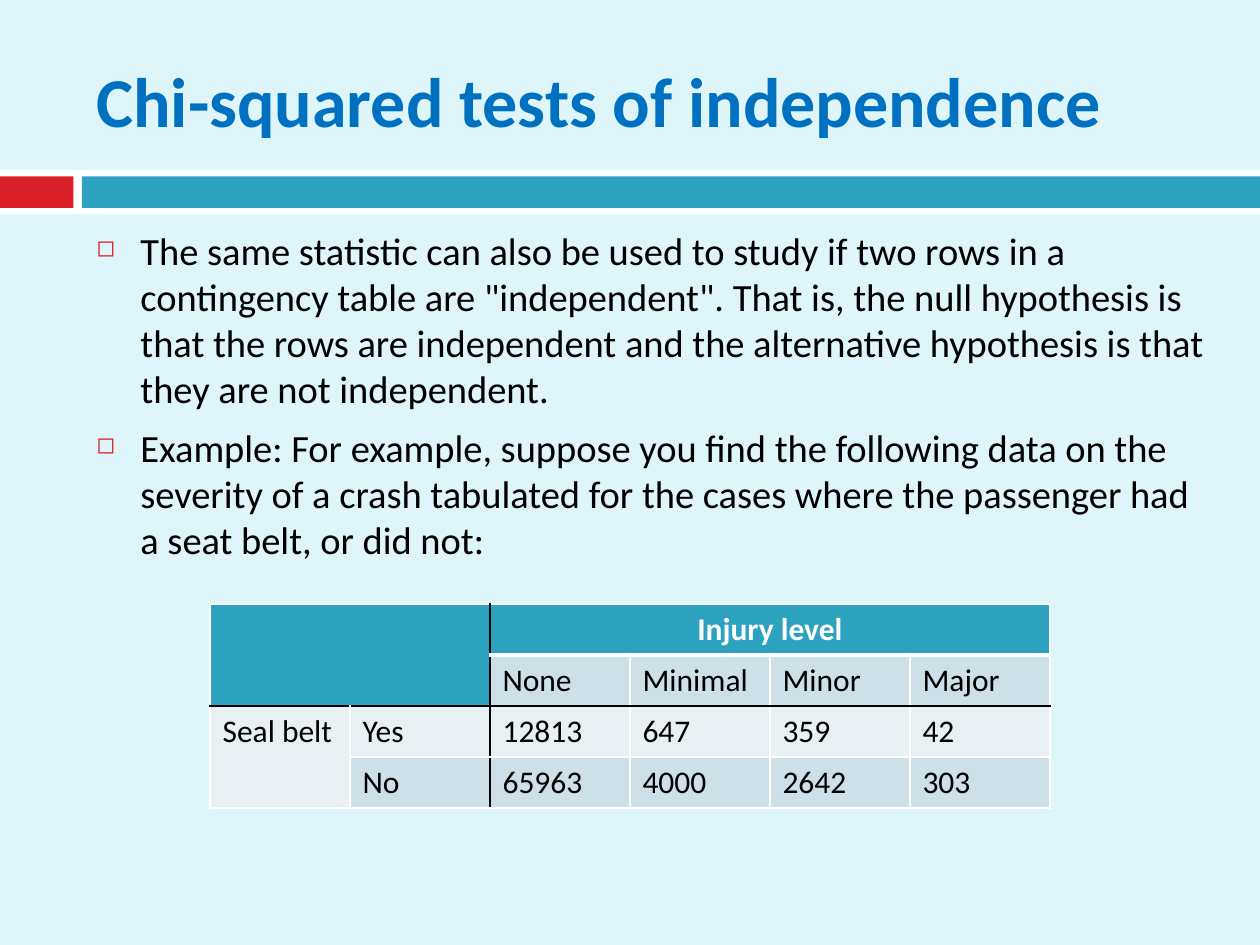
from dataclasses import dataclass

import lxml.etree
import pptx
import pptx.dml.color
import pptx.enum.shapes
import pptx.enum.text
import pptx.oxml.ns
import pptx.slide
import pptx.table
import pptx.text.text
import pptx.util


@dataclass(frozen=True)
class Theme:
    font: str = "Calibri"
    background: str = "DEF5FA"
    white: str = "FFFFFF"
    black: str = "000000"
    red: str = "DA1F28"
    teal: str = "2DA2BF"
    title: str = "0070C0"
    dark_band: str = "CDE0E8"
    light_band: str = "E8F0F4"
    title_size: float = 40
    body_size: float = 22
    table_size: float = 18
    thin: float = 1
    thick: float = 3


@dataclass(frozen=True)
class Box:
    left: float
    top: float
    width: float
    height: float

    def emu(self) -> list[int]:
        return [pptx.util.Pt(v) for v in (self.left, self.top, self.width, self.height)]


@dataclass(frozen=True)
class Bar:
    box: Box
    color: str


@dataclass(frozen=True)
class Span:
    row: int
    column: int
    last_row: int
    last_column: int


THEME = Theme()
BARS = [
    Bar(Box(0, 97.2, 720, 25.2), THEME.white),
    Bar(Box(0, 100.8, 42, 18), THEME.red),
    Bar(Box(46.8, 100.8, 673.2, 18), THEME.teal),
]
BULLETS = [
    'The same statistic can also be used to study if two rows in a contingency table are "independent". '
    "That is, the null hypothesis is that the rows are independent and the alternative hypothesis is "
    "that they are not independent.",
    "Example: For example, suppose you find the following data on the severity of a crash tabulated "
    "for the cases where the passenger had a seat belt, or did not:",
]
CRASHES = [
    ["", "", "Injury level", "", "", ""],
    ["", "", "None", "Minimal", "Minor", "Major"],
    ["Seal belt", "Yes", "12813", "647", "359", "42"],
    ["", "No", "65963", "4000", "2642", "303"],
]
SPANS = [Span(0, 0, 1, 1), Span(0, 2, 0, 5), Span(2, 0, 3, 0)]
LABEL_COLUMNS = 2
HEADER_ROWS = 2


def rgb(color: str) -> pptx.dml.color.RGBColor:
    return pptx.dml.color.RGBColor.from_string(color)


def style(paragraph: pptx.text.text._Paragraph, size: float, color: str, bold: bool = False) -> None:
    font = paragraph.font
    font.name, font.size, font.bold = THEME.font, pptx.util.Pt(size), bold
    font.color.rgb = rgb(color)


def add_child(parent: lxml.etree._Element, tag: str, **attributes: str) -> lxml.etree._Element:
    return lxml.etree.SubElement(parent, pptx.oxml.ns.qn(tag), attributes)


def add_bar(slide: pptx.slide.Slide, bar: Bar) -> None:
    shape = slide.shapes.add_shape(pptx.enum.shapes.MSO_SHAPE.RECTANGLE, *bar.box.emu())
    shape.shadow.inherit = False
    shape.fill.solid()
    shape.fill.fore_color.rgb = rgb(bar.color)
    shape.line.fill.background()


def add_text(slide: pptx.slide.Slide, box: Box) -> pptx.text.text.TextFrame:
    frame = slide.shapes.add_textbox(*box.emu()).text_frame
    frame.word_wrap = True
    return frame


def add_title(slide: pptx.slide.Slide, text: str) -> None:
    frame = add_text(slide, Box(48, 18, 642, 78))
    frame.vertical_anchor = pptx.enum.text.MSO_ANCHOR.MIDDLE
    frame.text = text
    style(frame.paragraphs[0], THEME.title_size, THEME.title, bold=True)


def add_bullets(slide: pptx.slide.Slide, texts: list[str]) -> None:
    frame = add_text(slide, Box(48, 126, 654, 390))
    frame.text = "\n".join(texts)
    for paragraph in frame.paragraphs:
        paragraph.space_before = pptx.util.Pt(7)
        properties = paragraph._p.get_or_add_pPr()
        properties.set("marL", str(pptx.util.Pt(25.2)))
        properties.set("indent", str(pptx.util.Pt(-25.2)))
        add_child(add_child(properties, "a:buClr"), "a:srgbClr", val=THEME.red)
        add_child(properties, "a:buSzPct", val="60000")
        add_child(properties, "a:buChar", char="◻")
        style(paragraph, THEME.body_size, THEME.black)


def add_border(cell: pptx.table._Cell, side: str, color: str, width: float) -> None:
    line = add_child(cell._tc.get_or_add_tcPr(), f"a:ln{side}", w=str(pptx.util.Pt(width)))
    add_child(add_child(line, "a:solidFill"), "a:srgbClr", val=color)


def style_cell(cell: pptx.table._Cell, span: Span) -> None:
    rules = {
        "L": span.column == LABEL_COLUMNS,
        "R": span.last_column == LABEL_COLUMNS - 1,
        "T": span.row == HEADER_ROWS,
        "B": span.last_row == HEADER_ROWS - 1,
    }
    for side, dark in rules.items():
        heavy = side == "B" and span.last_row == 0
        add_border(cell, side, THEME.black if dark else THEME.white, THEME.thick if heavy else THEME.thin)
    header = span.row == 0
    band = THEME.dark_band if span.row % 2 else THEME.light_band
    cell.fill.solid()
    cell.fill.fore_color.rgb = rgb(THEME.teal if header else band)
    paragraph = cell.text_frame.paragraphs[0]
    if header:
        paragraph.alignment = pptx.enum.text.PP_ALIGN.CENTER
    style(paragraph, THEME.table_size, THEME.white if header else THEME.black, bold=header)


def add_crash_table(slide: pptx.slide.Slide, rows: list[list[str]], spans: list[Span]) -> None:
    box = Box(120, 345, 480, 116.8)
    table = slide.shapes.add_table(len(rows), len(rows[0]), *box.emu()).table
    for row in table.rows:
        row.height = pptx.util.Pt(box.height / len(rows))
    for span in spans:
        table.cell(span.row, span.column).merge(table.cell(span.last_row, span.last_column))
    merged = {(span.row, span.column): span for span in spans}
    for r, values in enumerate(rows):
        for c, value in enumerate(values):
            cell = table.cell(r, c)
            cell.text = value
            style_cell(cell, merged.get((r, c), Span(r, c, r, c)))


def main() -> None:
    """Build the slide on chi-squared tests of independence."""
    deck = pptx.Presentation()
    deck.slide_width, deck.slide_height = pptx.util.Pt(720), pptx.util.Pt(540)
    slide = deck.slides.add_slide(deck.slide_layouts[6])
    slide.background.fill.solid()
    slide.background.fill.fore_color.rgb = rgb(THEME.background)
    for bar in BARS:
        add_bar(slide, bar)
    add_title(slide, "Chi-squared tests of independence")
    add_bullets(slide, BULLETS)
    add_crash_table(slide, CRASHES, SPANS)
    deck.save("out.pptx")


if __name__ == "__main__":
    main()
